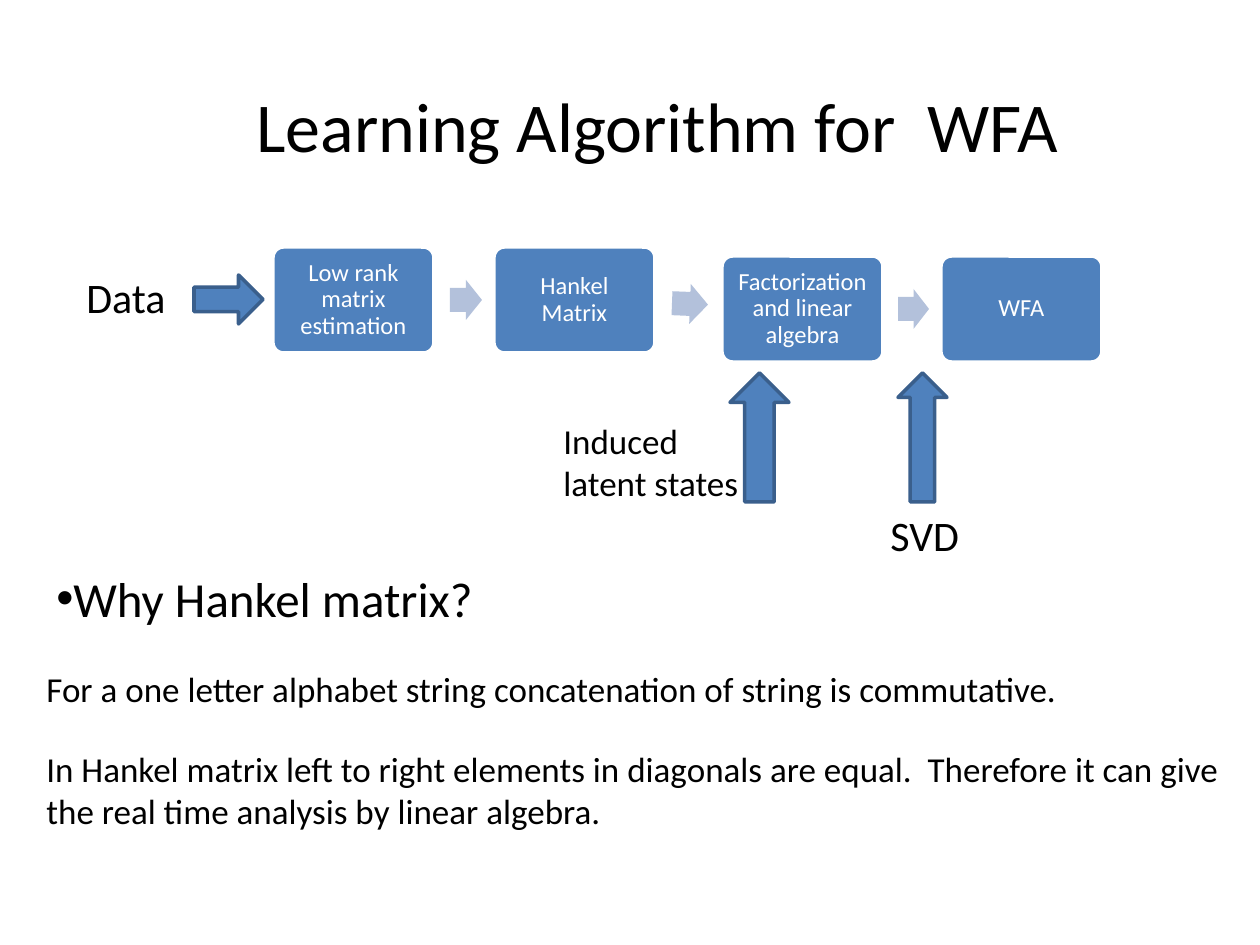
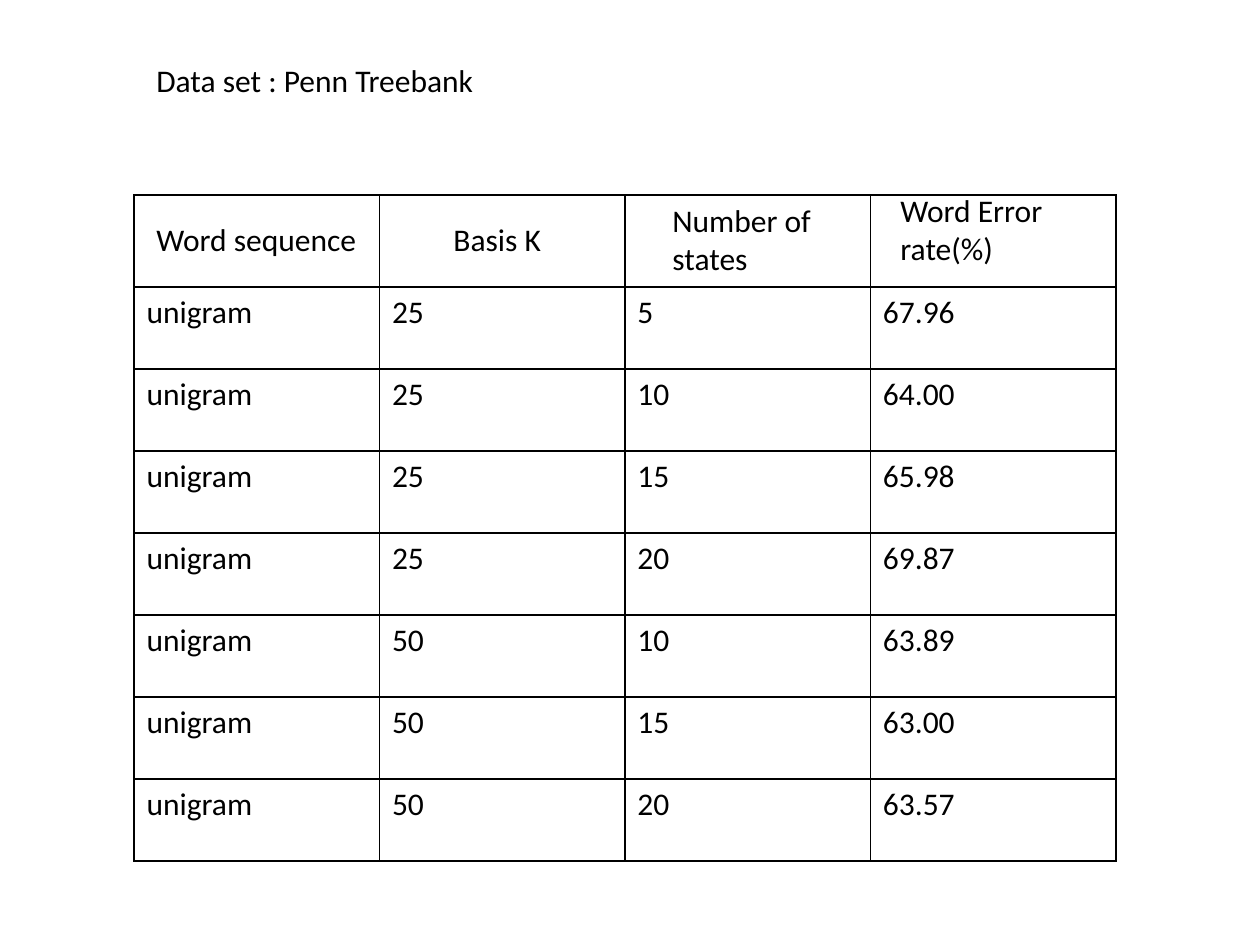
from itertools import pairwise
from math import atan2, degrees

from lxml.etree import SubElement
from pptx import Presentation
from pptx.dml.color import RGBColor as Color
from pptx.enum.shapes import MSO_SHAPE as Shape
from pptx.enum.text import MSO_ANCHOR as Anchor, PP_ALIGN as Align
from pptx.oxml.ns import qn
from pptx.util import Emu, Pt

PX_PER_INCH = 126

THEME = {
    "font": "Calibri",
    "ink": "000000",
    "paper": "FFFFFF",
    "blue": "4F81BD",
    "edge": "3A5F8C",
    "pale": "B3C1DB",
    "title": 40,
    "heading": 28,
    "label": 24,
    "body": 20,
    "table": 18,
    "card": 14,
}


def px(length):
    return Emu(round(length * 914400 / PX_PER_INCH))


def apply(target, formats):
    for name, value in formats.items():
        setattr(target, name, value)


class Page:
    """Holds the theme and the current slide."""

    def __init__(self, deck, theme):
        self.theme = theme
        self.slide = deck.slides.add_slide(deck.slide_layouts[6])

    def color(self, name):
        return Color.from_string(self.theme[name])

    def fill_text(self, frame, lines, size, color="ink", **para_formats):
        for index, line in enumerate(lines):
            para = frame.add_paragraph() if index else frame.paragraphs[0]
            apply(para, para_formats)
            span = para.add_run()
            span.text = line
            apply(span.font, {"name": self.theme["font"], "size": Pt(self.theme[size])})
            span.font.color.rgb = self.color(color)

    def text(self, left, top, width, height, lines, size):
        box = self.slide.shapes.add_textbox(px(left), px(top), px(width), px(height))
        box.text_frame.word_wrap = True
        self.fill_text(box.text_frame, lines, size)
        return box.text_frame.paragraphs

    def bullet(self, *place, line, size):
        para = self.text(*place, [line], size)[0]
        props = para._p.get_or_add_pPr()
        for name in ("marL", "indent"):
            props.set(name, "0")
        SubElement(props, qn("a:buFont")).set("typeface", "Arial")
        SubElement(props, qn("a:buChar")).set("char", "•")

    def shape(self, kind, left, top, width, height, fill="blue", edge=None, adjust=()):
        box = self.slide.shapes.add_shape(kind, px(left), px(top), px(width), px(height))
        box.shadow.inherit = False
        for index, value in enumerate(adjust):
            box.adjustments[index] = value
        box.fill.solid()
        box.fill.fore_color.rgb = self.color(fill)
        if edge:
            box.line.color.rgb = self.color(edge)
            box.line.width = Pt(2)
        else:
            box.line.fill.background()
        return box

    def card(self, left, top, width, height, label):
        box = self.shape(Shape.ROUNDED_RECTANGLE, left, top, width, height,
                         edge="paper", adjust=[0.1])
        frame = box.text_frame
        sides = ("left", "top", "right", "bottom")
        apply(frame, {f"margin_{side}": px(8) for side in sides})
        apply(frame, {"word_wrap": True, "vertical_anchor": Anchor.MIDDLE})
        self.fill_text(frame, [label], "card", "paper",
                       alignment=Align.CENTER, line_spacing=0.9)

    def border(self, cell):
        props = cell._tc.get_or_add_tcPr()
        for index, tag in enumerate(("a:lnL", "a:lnR", "a:lnT", "a:lnB")):
            line = SubElement(props, qn(tag), w=str(Pt(1)))
            fill = SubElement(line, qn("a:solidFill"))
            SubElement(fill, qn("a:srgbClr")).set("val", self.theme["ink"])
            props.insert(index, line)

    def table(self, left, top, width, header_height, row_height, rows):
        height = header_height + row_height * len(rows)
        table = self.slide.shapes.add_table(
            len(rows) + 1, len(rows[0]), px(left), px(top), px(width), px(height)).table
        apply(table, {"first_row": False, "horz_banding": False})
        for index, row in enumerate(table.rows):
            row.height = px(row_height if index else header_height)
            for column, cell in enumerate(row.cells):
                cell.fill.solid()
                cell.fill.fore_color.rgb = self.color("paper")
                self.border(cell)
                if index:
                    self.fill_text(cell.text_frame, [rows[index - 1][column]], "table")


def build_algorithm(page):
    page.text(244, 76, 850, 97, ["Learning Algorithm for  WFA"], "title")
    page.text(74, 265, 112, 63, ["Data"], "label")

    # Process cards, with an arrow centred between each pair
    width, height = 161, 106
    steps = [
        (273, 247, "Low rank matrix estimation"),
        (494, 247, "Hankel Matrix"),
        (722, 256, "Factorization and linear algebra"),
        (941, 256, "WFA"),
    ]
    for left, top, label in steps:
        page.card(left, top, width, height, label)
    for (left, top, _), (next_left, next_top, _) in pairwise(steps):
        gap = next_left - left - width
        length, thickness = round(gap * 0.53), 40
        middle = (top + next_top + height) / 2
        arrow = page.shape(
            Shape.RIGHT_ARROW, left + width + (gap - length) // 2 + 2,
            round(middle - thickness / 2), length, thickness,
            fill="pale", adjust=[0.6, 0.5])
        arrow.rotation = degrees(atan2(next_top - top, next_left - left))

    # Inputs to the process
    page.shape(Shape.RIGHT_ARROW, 194, 275, 69, 49, edge="edge")
    page.shape(Shape.UP_ARROW, 730, 373, 59, 129, edge="edge")
    page.shape(Shape.UP_ARROW, 898, 373, 49, 129, edge="edge")
    page.text(551, 413, 208, 97, ["Induced", "latent states"], "body")
    page.text(878, 503, 100, 63, ["SVD"], "label")

    # Explanation
    paras = page.text(34, 661, 1226, 178, [
        "For a one letter alphabet string concatenation of string is commutative.",
        "In Hankel matrix left to right elements in diagonals are equal.  Therefore it can give",
        "the real time analysis by linear algebra.",
    ], "body")
    paras[1].space_before = Pt(22)
    page.bullet(44, 562, 452, 72, line="Why Hankel matrix?", size="heading")


def build_results(page):
    # Error rates by basis size and number of states
    results = [
        (25, 5, "67.96"), (25, 10, "64.00"), (25, 15, "65.98"), (25, 20, "69.87"),
        (50, 10, "63.89"), (50, 15, "63.00"), (50, 20, "63.57"),
    ]
    rows = [("unigram", str(basis), str(states), rate) for basis, states, rate in results]
    page.table(134, 195, 982, 92, 82, rows)

    # Column headings and data set label
    labels = [
        (144, 214, 234, 50, ["Word sequence"]),
        (441, 214, 120, 50, ["Basis K"]),
        (660, 195, 180, 89, ["Number of", "states"]),
        (888, 185, 184, 89, ["Word Error", "rate(%)"]),
        (144, 55, 354, 50, ["Data set : Penn Treebank"]),
    ]
    for *place, lines in labels:
        page.text(*place, lines, "table")


def main():
    deck = Presentation()
    apply(deck, {"slide_width": px(1260), "slide_height": px(945)})
    for build in (build_algorithm, build_results):
        build(Page(deck, THEME))
    deck.save("out.pptx")


if __name__ == "__main__":
    main()
